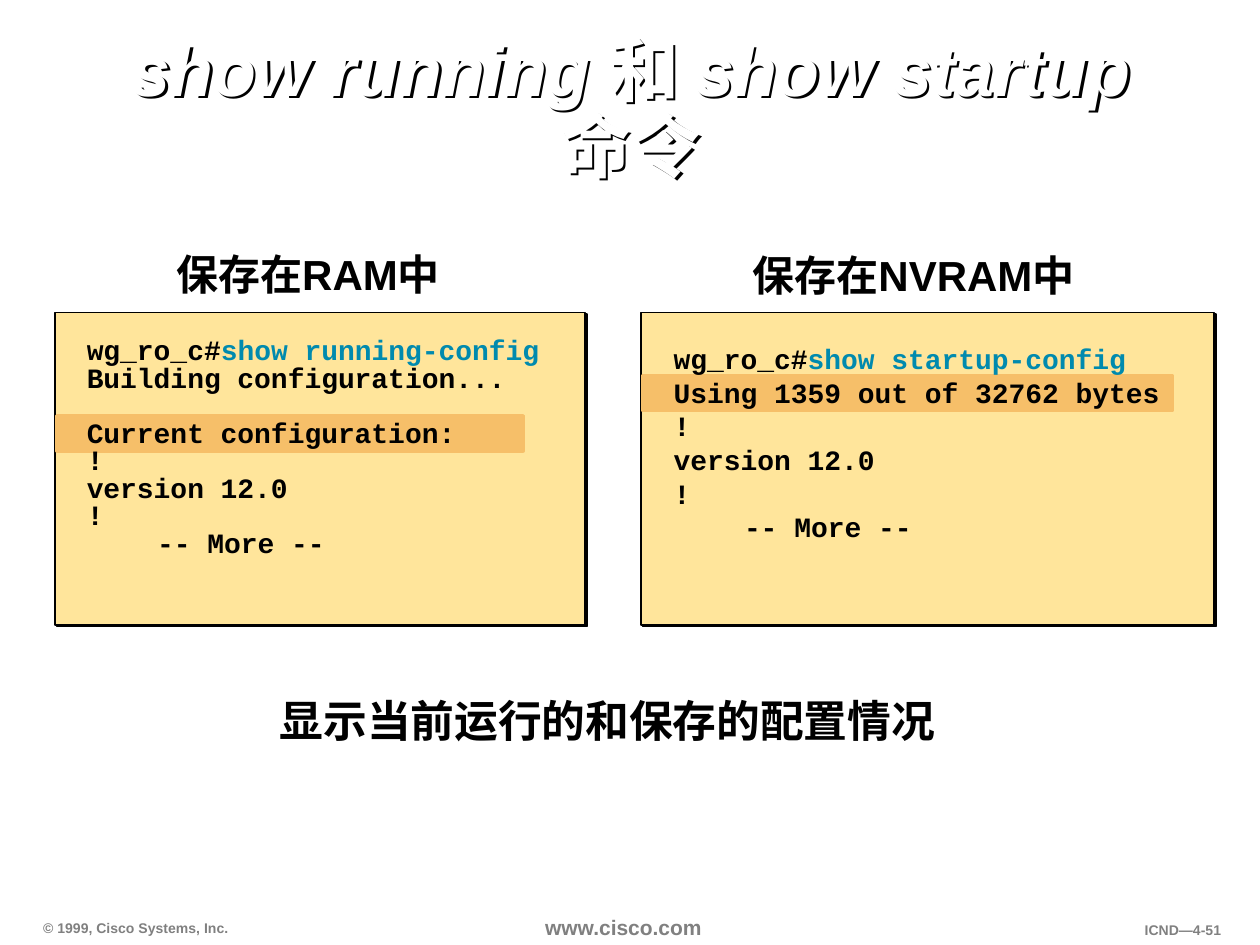
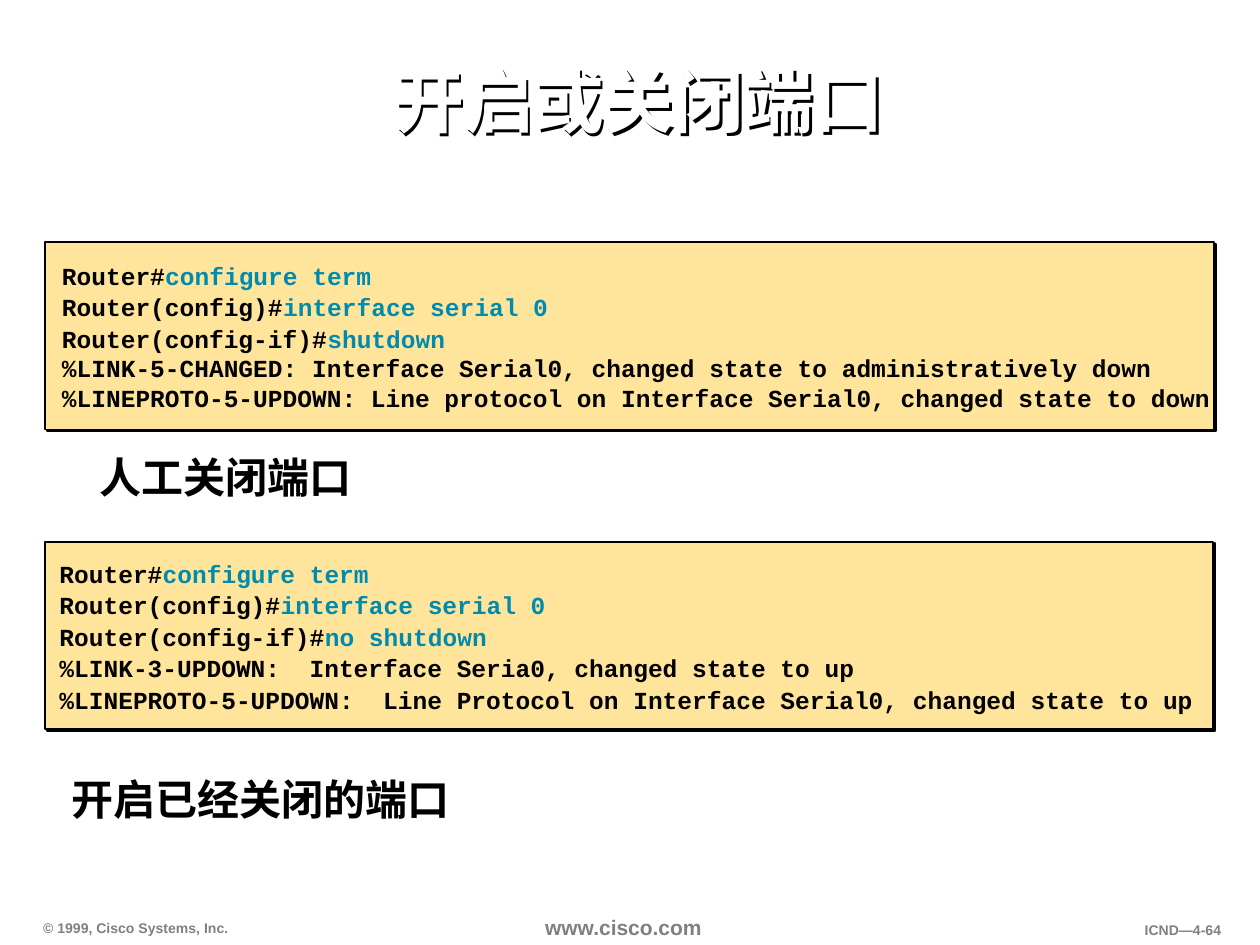
from dataclasses import dataclass

import pptx
import pptx.dml.color
import pptx.enum.shapes
import pptx.enum.text
import pptx.oxml
import pptx.oxml.ns
import pptx.util

Cm = pptx.util.Cm
Pt = pptx.util.Pt
Align = pptx.enum.text.PP_ALIGN
Anchor = pptx.enum.text.MSO_ANCHOR
qn = pptx.oxml.ns.qn


@dataclass(frozen=True)
class Theme:
    black: str = "000000"
    white: str = "FFFFFF"
    footer_grey: str = "808080"
    command_blue: str = "008AAE"
    panel: str = "FFE59B"
    highlight: str = "F6BF69"
    sans: str = "Arial"
    mono: str = "Courier New"
    title_size: int = 40
    message_size: int = 25
    caption_size: int = 24
    session_size: int = 16
    long_session_size: int = 14
    address_size: int = 12
    footer_size: int = 8
    tab_stop: float = 1.42
    panel_shadow: float = 1.4
    title_shadow: float = 2


THEME = Theme()


def rgb(color):
    return pptx.dml.color.RGBColor.from_string(color)


def box(area):
    return [Cm(length) for length in area]


def style_run(run, size, color=THEME.black, font=THEME.sans, italic=None):
    run.font.name = font
    run.font.size = Pt(size)
    run.font.bold = True
    run.font.italic = italic
    run.font.color.rgb = rgb(color)


def cast_shadow(shape, distance):
    shape.shadow.inherit = False
    properties = shape._element.spPr
    properties.replace(properties.find(qn("a:effectLst")), pptx.oxml.parse_xml(
        f'<a:effectLst {pptx.oxml.ns.nsdecls("a")}>'
        f'<a:outerShdw dist="{Pt(distance)}" dir="2700000" algn="ctr" rotWithShape="0">'
        f'<a:srgbClr val="{THEME.black}"/></a:outerShdw></a:effectLst>'))


def set_insets(frame, across, down):
    frame.margin_left = frame.margin_right = Cm(across)
    frame.margin_top = frame.margin_bottom = Cm(down)


def add_title(slide, area, parts):
    title = slide.shapes.title
    title.left, title.top, title.width, title.height = box(area)
    title.fill.background()
    cast_shadow(title, THEME.title_shadow)
    frame = title.text_frame
    frame.auto_size = pptx.enum.text.MSO_AUTO_SIZE.NONE
    frame.vertical_anchor = Anchor.MIDDLE
    set_insets(frame, 0.23, 0.1)
    heading = frame.paragraphs[0]
    heading.alignment = Align.CENTER
    heading.line_spacing = 0.9
    for text, italic in parts:
        run = heading.add_run()
        run.text = text
        style_run(run, THEME.title_size, THEME.white, italic=italic)


def add_label(slide, area, text, size, color=THEME.black, align=Align.LEFT,
              anchor=Anchor.TOP, wrap=True, spacing=None):
    frame = slide.shapes.add_textbox(*box(area)).text_frame
    frame.word_wrap = wrap
    frame.vertical_anchor = anchor
    set_insets(frame, 0.23, 0.1)
    frame.text = text
    line = frame.paragraphs[0]
    line.alignment = align
    line.line_spacing = spacing
    style_run(line.runs[0], size, color)
    return frame


def add_caption(slide, area, text, wrap=True, spacing=None):
    add_label(slide, area, text, THEME.caption_size, align=Align.CENTER,
              anchor=Anchor.MIDDLE, wrap=wrap, spacing=spacing)


def add_rectangle(slide, area, fill, line, line_width):
    rectangle = slide.shapes.add_shape(
        pptx.enum.shapes.MSO_SHAPE.RECTANGLE, *box(area))
    rectangle.shadow.inherit = False
    rectangle.fill.solid()
    rectangle.fill.fore_color.rgb = rgb(fill)
    rectangle.line.color.rgb = rgb(line)
    rectangle.line.width = Pt(line_width)
    return rectangle


def add_panel(slide, area):
    panel = add_rectangle(slide, area, THEME.panel, THEME.black, 1)
    cast_shadow(panel, THEME.panel_shadow)


def add_highlight(slide, area):
    add_rectangle(slide, area, THEME.highlight, THEME.highlight, 2)


def add_tab_stop(line):
    properties = line._p.get_or_add_pPr()
    properties.append(pptx.oxml.parse_xml(
        f'<a:tabLst {pptx.oxml.ns.nsdecls("a")}>'
        f'<a:tab pos="{Cm(THEME.tab_stop)}" algn="l"/></a:tabLst>'))


def add_session(slide, area, lines, size, prompt_spacing, output_spacing):
    frame = slide.shapes.add_textbox(*box(area)).text_frame
    frame.word_wrap = False
    set_insets(frame, 0.05, 0.08)
    line = frame.paragraphs[0]
    for index, text in enumerate(lines):
        if index:
            line = frame.add_paragraph()
        if text.startswith("\n"):
            line.space_before = output_spacing
            text = text[1:]
        if text.startswith("\t"):
            add_tab_stop(line)
        prompt, mark, command = text.partition("#")
        line.line_spacing = prompt_spacing if mark else output_spacing
        for part, color in ((prompt + mark, THEME.black), (command, THEME.command_blue)):
            if part:
                run = line.add_run()
                run.text = part
                style_run(run, size, color, THEME.mono)


def add_footers(slide, page):
    add_label(slide, (0.64, 18.42, 4.27, 0.56), "© 1999, Cisco Systems, Inc.",
              THEME.footer_size, THEME.footer_grey, anchor=Anchor.BOTTOM, wrap=False)
    add_label(slide, (10.76, 18.34, 3.81, 0.71), "www.cisco.com",
              THEME.address_size, THEME.footer_grey)
    add_label(slide, (21.8, 18.47, 3.05, 0.56), f"ICND—4-{page}",
              THEME.footer_size, THEME.footer_grey, align=Align.RIGHT)


def new_slide(deck, page, title_area, title_parts):
    slide = deck.slides.add_slide(deck.slide_layouts.get_by_name("Title Only"))
    add_footers(slide, page)
    add_title(slide, title_area, title_parts)
    return slide


def build_show_commands(deck):
    slide = new_slide(deck, 51, (2.13, 0.66, 21.18, 3.18), [
        ("show running ", True), ("和 ", False), ("show startup ", True), ("命令", False)])

    add_panel(slide, (12.92, 6.3, 11.56, 6.3))
    add_highlight(slide, (12.96, 7.57, 10.67, 0.71))
    add_session(slide, (13.53, 6.81, 11.51, 4.85), [
        "wg_ro_c#show startup-config",
        "Using 1359 out of 32762 bytes",
        "!",
        "version 12.0",
        "!",
        "\t-- More --",
    ], THEME.session_size, None, None)
    add_caption(slide, (14.72, 4.9, 7.39, 1.27), "保存在NVRAM中", wrap=False)

    add_panel(slide, (1.11, 6.3, 10.69, 6.3))
    add_highlight(slide, (1.15, 8.38, 9.4, 0.71))
    add_session(slide, (1.7, 6.75, 11.35, 4.85), [
        "wg_ro_c#show running-config",
        "Building configuration...",
        "\nCurrent configuration:",
        "!",
        "version 12.0",
        "!",
        "\t-- More --",
    ], THEME.session_size, Pt(15.7), Pt(15.7))
    add_caption(slide, (3.1, 4.88, 6.22, 1.27), "保存在RAM中", wrap=False)

    message = add_label(slide, (5.08, 14, 14.76, 2.64), "显示当前运行的和保存的配置情况",
                        THEME.message_size, spacing=0.9)
    message.margin_left = Cm(0.56)


def build_port_switching(deck):
    slide = new_slide(deck, 64, (2.29, 0.53, 21.18, 3.18), [("开启或关闭端口", None)])
    enter_port = ["Router#configure term", "Router(config)#interface serial 0"]

    add_panel(slide, (0.91, 4.88, 23.57, 3.78))
    add_session(slide, (1.2, 5.14, 23.6, 2.82), enter_port + [
        "Router(config-if)#shutdown",
        "%LINK-5-CHANGED: Interface Serial0, changed state to administratively down",
        "%LINEPROTO-5-UPDOWN: Line protocol on Interface Serial0, changed state to down",
    ], THEME.long_session_size, Pt(18), None)
    add_caption(slide, (0.95, 8.89, 7.19, 1.52), "人工关闭端口", spacing=0.95)

    add_panel(slide, (0.91, 10.92, 23.55, 3.78))
    add_session(slide, (1.15, 11.14, 23.6, 3.84), enter_port + [
        "Router(config-if)#no shutdown",
        "%LINK-3-UPDOWN:  Interface Seria0, changed state to up",
        "%LINEPROTO-5-UPDOWN:  Line Protocol on Interface Serial0, changed state to up",
    ], THEME.long_session_size, Pt(18), Pt(18))
    add_caption(slide, (0.99, 15.34, 8.53, 1.63), "开启已经关闭的端口", spacing=0.95)


def main():
    deck = pptx.Presentation()
    deck.slide_width, deck.slide_height = Cm(25.4), Cm(19.05)
    build_show_commands(deck)
    build_port_switching(deck)
    deck.save("out.pptx")


if __name__ == "__main__":
    main()
